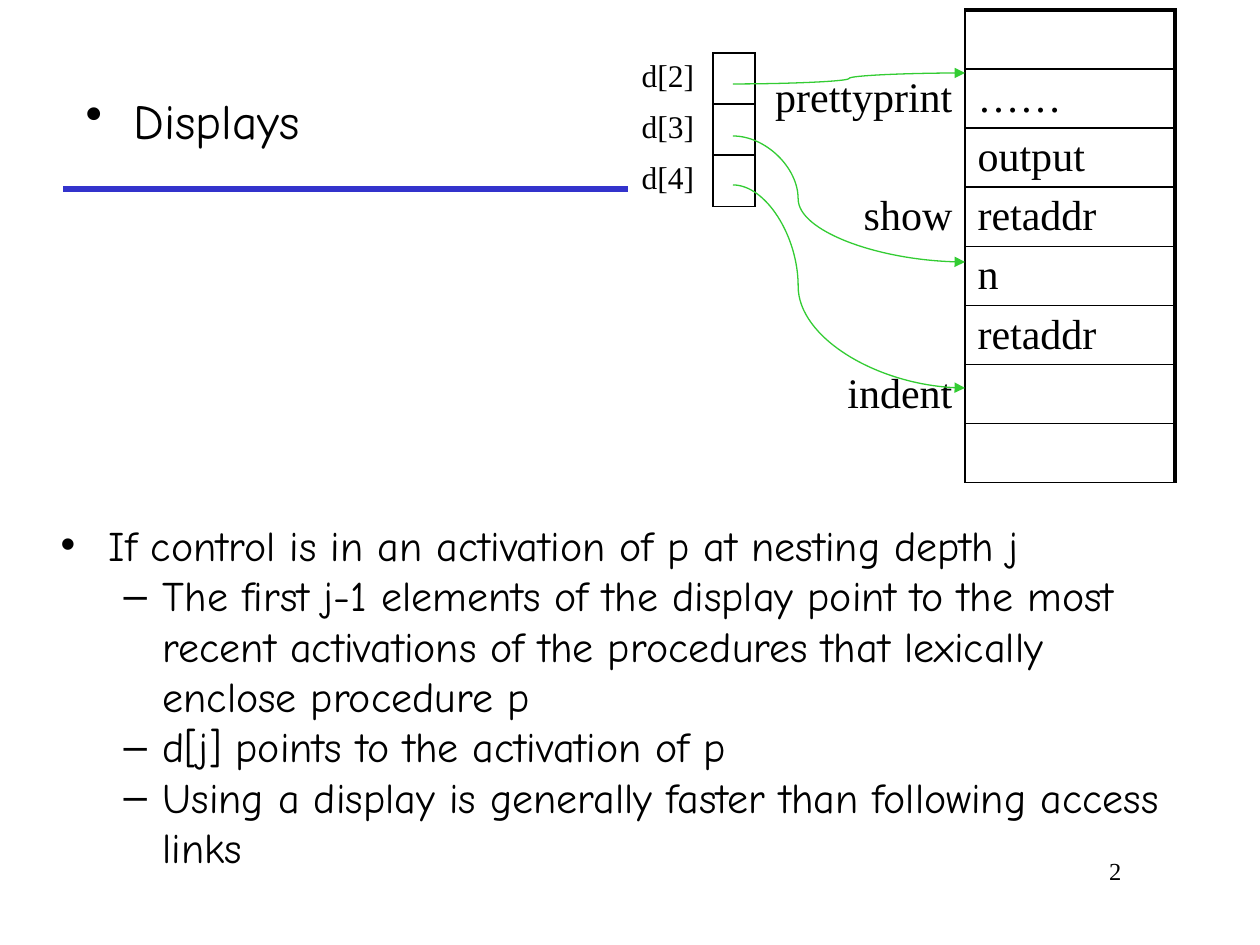
from dataclasses import dataclass

from pptx import Presentation
from pptx.dml.color import RGBColor
from pptx.enum.shapes import MSO_CONNECTOR as Connector
from pptx.enum.text import MSO_ANCHOR as Anchor, MSO_AUTO_SIZE as AutoSize, PP_ALIGN as Align
from pptx.oxml.xmlchemy import OxmlElement
from pptx.util import Emu, Pt


@dataclass(frozen=True)
class Theme:
    ink: str = "000000"
    paper: str = "FFFFFF"
    rule: str = "3333CC"
    pointer: str = "33CC33"
    hand: str = "Comic Neue"
    serif: str = "Times New Roman"
    title: int = 28
    body: int = 24
    index: int = 18
    number: int = 14
    thin: float = 1
    thick: float = 2.25


THEME = Theme()
STACK = [
    ("", ""),
    ("prettyprint", "……"),
    ("", "output"),
    ("show", "retaddr"),
    ("", "n"),
    ("", "retaddr"),
    ("indent", ""),
    ("", ""),
]
DISPLAY = [("d[2]", ""), ("d[3]", ""), ("d[4]", "")]
POINTERS = [(84, 73, 50000), (136, 262, 28100), (185, 388, 28100)]
POINTS = [
    (0, "If control is in an activation of p at nesting depth j"),
    (1, "The first j-1 elements of the display point to the most recent "
        "activations of the procedures that lexically enclose procedure p"),
    (1, "d[j] points to the activation of p"),
    (1, "Using a display is generally faster than following access links"),
]
BULLETS = [("•", 48, -48), ("–", 102, -39)]


def px(length):
    return Emu(round(length * 914400 / 126))


def add_child(parent, tag, **attributes):
    child = OxmlElement(tag)
    for name, value in attributes.items():
        child.set(name, str(value))
    parent.append(child)
    return child


def style(para, face, size):
    for span in para.runs:
        span.font.name = face
        span.font.size = Pt(size)
        span.font.color.rgb = RGBColor.from_string(THEME.ink)


def place(shape, box):
    shape.left, shape.top, shape.width, shape.height = map(px, box)
    frame = shape.text_frame
    frame.word_wrap = True
    frame.auto_size = AutoSize.NONE
    frame.vertical_anchor = Anchor.TOP
    return frame


def bullet(para, level):
    mark, margin, indent = BULLETS[level]
    para.level = level
    para.alignment = Align.LEFT
    para.space_before = Pt(0)
    props = para._p.get_or_add_pPr()
    props.set("marL", str(px(margin)))
    props.set("indent", str(px(indent)))
    add_child(props, "a:buChar", char=mark)


def add_line(page, kind, start, end, color, width):
    line = page.shapes.add_connector(kind, *map(px, start + end))
    line.line.color.rgb = RGBColor.from_string(color)
    line.line.width = Pt(width)
    add_child(line._element.spPr, "a:effectLst")
    return line


def add_title(page, box, text):
    frame = place(page.shapes.title, box)
    frame.text = text
    bullet(frame.paragraphs[0], 0)
    style(frame.paragraphs[0], THEME.hand, THEME.title)


def add_body(page, box, points):
    frame = place(page.placeholders[1], box)
    frame.text = "\n".join(text for _, text in points)
    for para, (level, _) in zip(frame.paragraphs, points):
        bullet(para, level)
        style(para, THEME.hand, THEME.body)


def add_number(page, box, text):
    frame = place(page.shapes.add_textbox(0, 0, 0, 0), box)
    frame.text = text
    frame.paragraphs[0].alignment = Align.RIGHT
    style(frame.paragraphs[0], THEME.serif, THEME.number)


def set_borders(cell, widths):
    props = cell._tc.get_or_add_tcPr()
    for side in "LRTB":
        if side in widths:
            edge = add_child(props, f"a:ln{side}", w=Pt(widths[side]))
            fill = add_child(edge, "a:solidFill")
            add_child(fill, "a:srgbClr", val=THEME.ink)


def add_memory(page, left, top, columns, row_height, rows, size, label_align, outer):
    table = page.shapes.add_table(
        len(rows), 2, px(left), px(top), px(sum(columns)), px(row_height * len(rows))
    ).table
    table.first_row = table.horz_banding = False
    for column, width in zip(table.columns, columns):
        column.width = px(width)
    for i, texts in enumerate(rows):
        table.rows[i].height = px(row_height)
        slot = {"L": THEME.thin, "R": outer, "T": THEME.thin if i else outer, "B": THEME.thin}
        looks = [({"R": THEME.thin}, label_align), (slot, Align.LEFT)]
        for j, (text, (borders, align)) in enumerate(zip(texts, looks)):
            cell = table.cell(i, j)
            set_borders(cell, borders)
            cell.fill.solid()
            cell.fill.fore_color.rgb = RGBColor.from_string(THEME.paper)
            cell.text = text
            cell.text_frame.paragraphs[0].alignment = align
            style(cell.text_frame.paragraphs[0], THEME.serif, size)


def add_pointers(page, left, right, pointers):
    for start, end, bend in pointers:
        curve = add_line(page, Connector.CURVE, (left, start), (right, end), THEME.pointer, 0.75)
        add_child(curve.line._get_or_add_ln(), "a:tailEnd", type="triangle")
        guides = curve._element.spPr.prstGeom.get_or_add_avLst()
        add_child(guides, "a:gd", name="adj1", fmla=f"val {bend}")


def main():
    deck = Presentation()
    deck.slide_width, deck.slide_height = px(1260), px(945)
    page = deck.slides.add_slide(deck.slide_layouts[1])
    add_line(page, Connector.STRAIGHT, (63, 189), (1176, 189), THEME.rule, 3)
    add_title(page, (73, 84, 1071, 94), "Displays")
    add_number(page, (872, 850, 262, 63), "2")
    add_memory(page, 755, 10, (210, 210), 59, STACK, THEME.body, Align.RIGHT, THEME.thick)
    add_memory(page, 629, 53, (84, 42), 51, DISPLAY, THEME.index, Align.LEFT, THEME.thin)
    add_pointers(page, 733, 965, POINTERS)
    add_body(page, (48, 513, 1133, 369), POINTS)
    deck.save("out.pptx")


if __name__ == "__main__":
    main()
